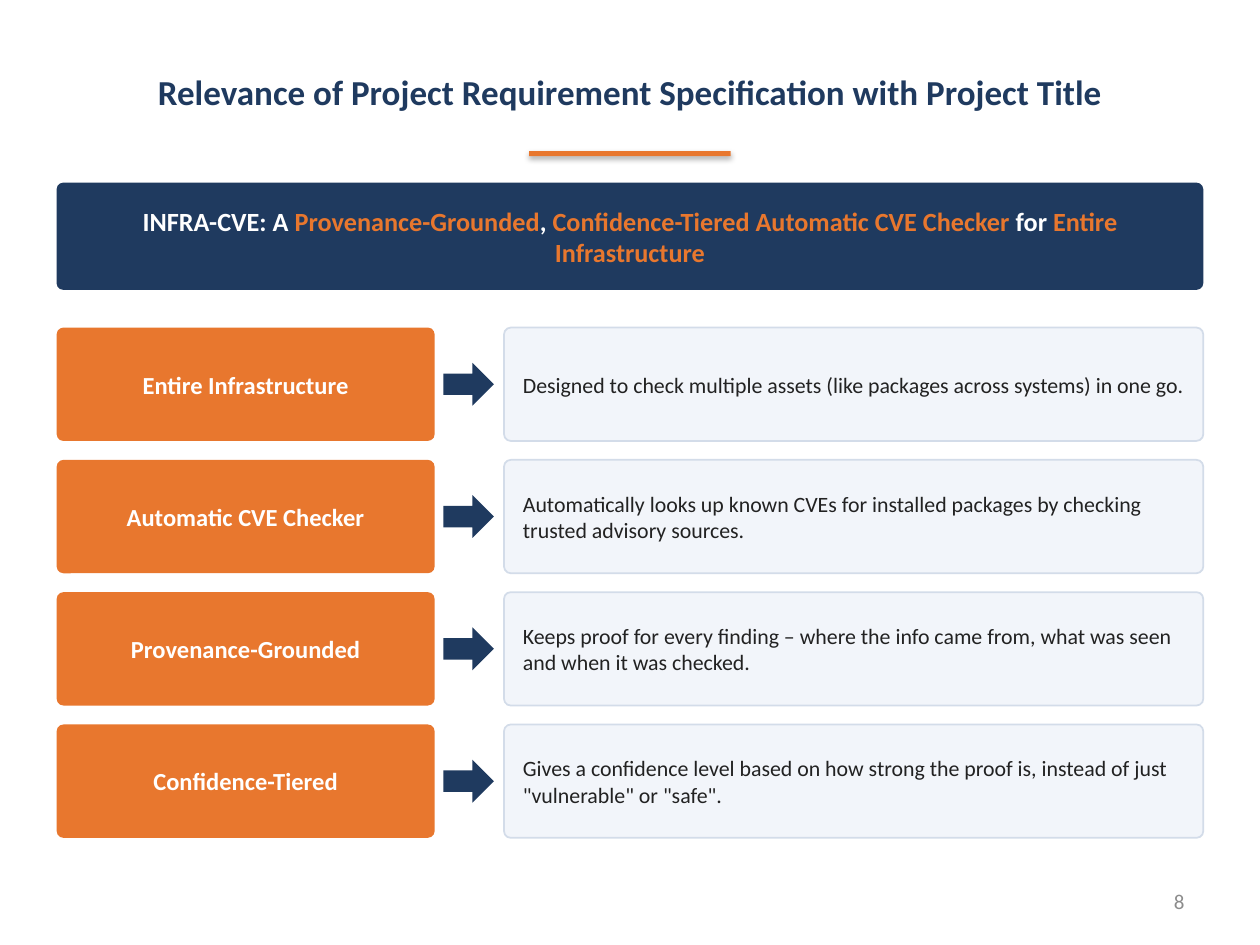
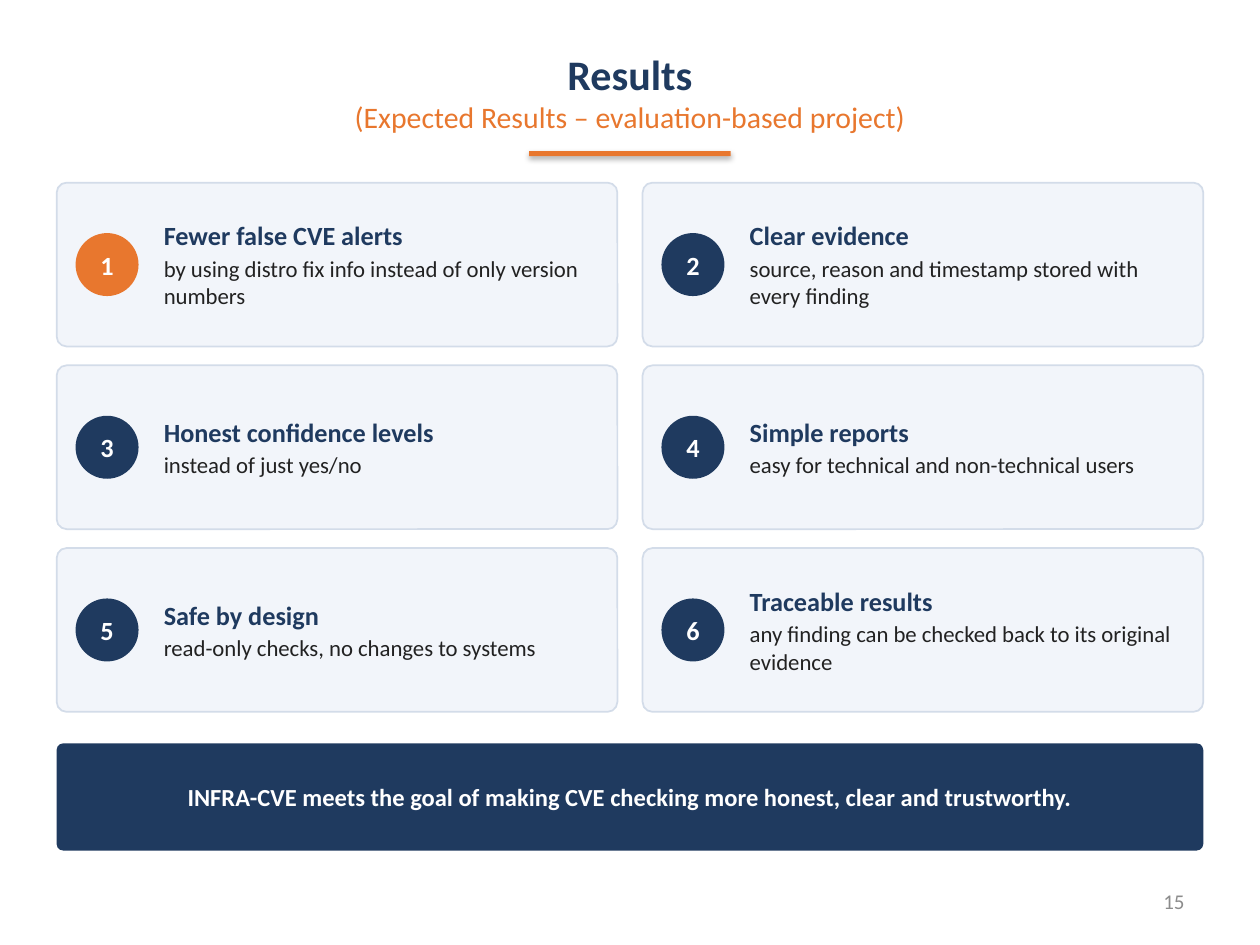
"""Build two project review slides: title relevance and expected results."""
import pptx
import pptx.dml.color
import pptx.enum.shapes
import pptx.enum.text
import pptx.util

COLOURS = {
    "navy": "1F3A5F",
    "orange": "E8772E",
    "panel": "F2F5FA",
    "border": "D3DCE9",
    "body": "222222",
    "white": "FFFFFF",
    "grey": "8C8C8C",
}
FONT = "Calibri"
MARGIN = 32.4
CONTENT_WIDTH = 655.2
BANNER_HEIGHT = 61.2
DEFAULT_INSETS = (7.2, 3.6)
TIGHT_INSETS = (3.6, 2.16)
PRESET = pptx.enum.shapes.MSO_SHAPE
ALIGN = pptx.enum.text.PP_ALIGN

TITLE_RUNS = [
    ("INFRA-CVE: A ", {}),
    ("Provenance-Grounded", {"colour": "orange"}),
    (", ", {}),
    ("Confidence-Tiered Automatic CVE Checker", {"colour": "orange"}),
    (" for ", {}),
    ("Entire Infrastructure", {"colour": "orange"}),
]
RELEVANCE = [
    ("Entire Infrastructure",
     "Designed to check multiple assets (like packages across systems) in one go."),
    ("Automatic CVE Checker",
     "Automatically looks up known CVEs for installed packages by checking trusted advisory sources."),
    ("Provenance-Grounded",
     "Keeps proof for every finding – where the info came from, what was seen and when it was checked."),
    ("Confidence-Tiered",
     'Gives a confidence level based on how strong the proof is, instead of just "vulnerable" or "safe".'),
]
RESULTS = [
    ("Fewer false CVE alerts", "by using distro fix info instead of only version numbers"),
    ("Clear evidence", "source, reason and timestamp stored with every finding"),
    ("Honest confidence levels", "instead of just yes/no"),
    ("Simple reports", "easy for technical and non-technical users"),
    ("Safe by design", "read-only checks, no changes to systems"),
    ("Traceable results", "any finding can be checked back to its original evidence"),
]


def points(box):
    return [pptx.util.Pt(round(length, 2)) for length in box]


def rgb(name):
    return pptx.dml.color.RGBColor.from_string(COLOURS[name])


def write_text(frame, paragraphs, size, colour, bold=False, align=ALIGN.LEFT,
               space_after=None, insets=TIGHT_INSETS):
    """Fill a frame; each paragraph is a string or a list of (text, overrides) runs."""
    frame.word_wrap = True
    frame.vertical_anchor = pptx.enum.text.MSO_ANCHOR.MIDDLE
    frame.margin_left = frame.margin_right = pptx.util.Pt(insets[0])
    frame.margin_top = frame.margin_bottom = pptx.util.Pt(insets[1])
    for index, runs in enumerate(paragraphs):
        paragraph = frame.add_paragraph() if index else frame.paragraphs[0]
        paragraph.alignment = align
        if space_after is not None:
            paragraph.space_after = pptx.util.Pt(space_after)
        for text, overrides in [(runs, {})] if isinstance(runs, str) else runs:
            style = {"size": size, "colour": colour, "bold": bold, **overrides}
            run = paragraph.add_run()
            run.text = text
            run.font.name = FONT
            run.font.size = pptx.util.Pt(style["size"])
            run.font.bold = style["bold"]
            run.font.color.rgb = rgb(style["colour"])


def add_text(slide, box, paragraphs, **text_format):
    write_text(slide.shapes.add_textbox(*points(box)).text_frame, paragraphs, **text_format)


def add_shape(slide, preset, box, fill, line=None, shadow=False):
    shape = slide.shapes.add_shape(preset, *points(box))
    shape.fill.solid()
    shape.fill.fore_color.rgb = rgb(fill)
    if line:
        shape.line.color.rgb = rgb(line)
        shape.line.width = pptx.util.Pt(1)
    else:
        shape.line.fill.background()
    if not shadow:
        shape.shadow.inherit = False
    if preset == PRESET.ROUNDED_RECTANGLE:
        shape.adjustments[0] = 0.06
    return shape


def add_heading(slide, paragraphs, size, number):
    add_text(slide, (36, 18, 648, 68.4), paragraphs, size=size, colour="navy",
             bold=True, align=ALIGN.CENTER, insets=DEFAULT_INSETS)
    add_text(slide, (516.24, 500.4, 167.76, 28.8), [number], size=12, colour="grey",
             align=ALIGN.RIGHT, insets=DEFAULT_INSETS)
    add_shape(slide, PRESET.RECTANGLE, (302.4, 86.4, 115.2, 2.88), "orange", shadow=True)


def add_panel(slide, box, paragraphs, fill, padding, line=None, **text_format):
    left, top, width, height = box
    add_shape(slide, PRESET.ROUNDED_RECTANGLE, box, fill, line)
    add_text(slide, (left + padding, top, width - 2 * padding, height), paragraphs,
             space_after=3, **text_format)


def add_banner(slide, top, paragraph, size):
    add_panel(slide, (MARGIN, top, CONTENT_WIDTH, BANNER_HEIGHT), [paragraph], "navy", 10.8,
              size=size, colour="white", bold=True, align=ALIGN.CENTER)


def add_relevance_row(slide, box, term, meaning):
    left, top, width, height = box
    label_width, detail_offset = 216, 255.6
    add_panel(slide, (left, top, label_width, height), [term], "orange", 3.6,
              size=14, colour="white", bold=True, align=ALIGN.CENTER)
    add_shape(slide, PRESET.RIGHT_ARROW, (left + 221.04, top + 20.16, 28.8, 24.48), "navy")
    add_panel(slide, (left + detail_offset, top, width - detail_offset, height), [meaning],
              "panel", 7.2, line="border", size=12.5, colour="body")


def add_result_card(slide, box, number, heading, detail):
    left, top, width, height = box
    badge_size = 36
    add_shape(slide, PRESET.ROUNDED_RECTANGLE, box, "panel", "border")
    badge = add_shape(slide, PRESET.OVAL,
                      (left + 10.8, top + (height - badge_size) / 2, badge_size, badge_size),
                      "orange" if number == 1 else "navy")
    write_text(badge.text_frame, [str(number)], size=15, colour="white", bold=True,
               align=ALIGN.CENTER, insets=(0, 0))
    detail_run = (detail, {"size": 13, "colour": "body", "bold": False})
    add_text(slide, (left + 57.6, top + 7.2, width - 64.8, height - 14.4),
             [heading, [detail_run]], size=15, colour="navy", bold=True, space_after=2)


def build_relevance_slide(slide):
    add_heading(slide, ["Relevance of Project Requirement Specification with Project Title"],
                20, "8")
    add_banner(slide, 104.4, TITLE_RUNS, 15)
    for index, (term, meaning) in enumerate(RELEVANCE):
        add_relevance_row(slide, (MARGIN, 187.2 + index * 75.6, CONTENT_WIDTH, 64.8),
                          term, meaning)


def build_results_slide(slide):
    subtitle = ("(Expected Results – evaluation-based project)",
                {"size": 17, "colour": "orange", "bold": False})
    add_heading(slide, ["Results", [subtitle]], 24, "15")
    for index, (heading, detail) in enumerate(RESULTS):
        row, column = divmod(index, 2)
        box = (MARGIN + column * 334.8, 104.4 + row * 104.4, 320.4, 93.6)
        add_result_card(slide, box, index + 1, heading, detail)
    add_banner(slide, 424.8,
               "INFRA-CVE meets the goal of making CVE checking more honest, clear and trustworthy.",
               14)


def main():
    presentation = pptx.Presentation()
    presentation.slide_width = pptx.util.Pt(720)
    presentation.slide_height = pptx.util.Pt(540)
    for build in (build_relevance_slide, build_results_slide):
        build(presentation.slides.add_slide(presentation.slide_layouts[6]))
    presentation.save("out.pptx")


if __name__ == "__main__":
    main()
